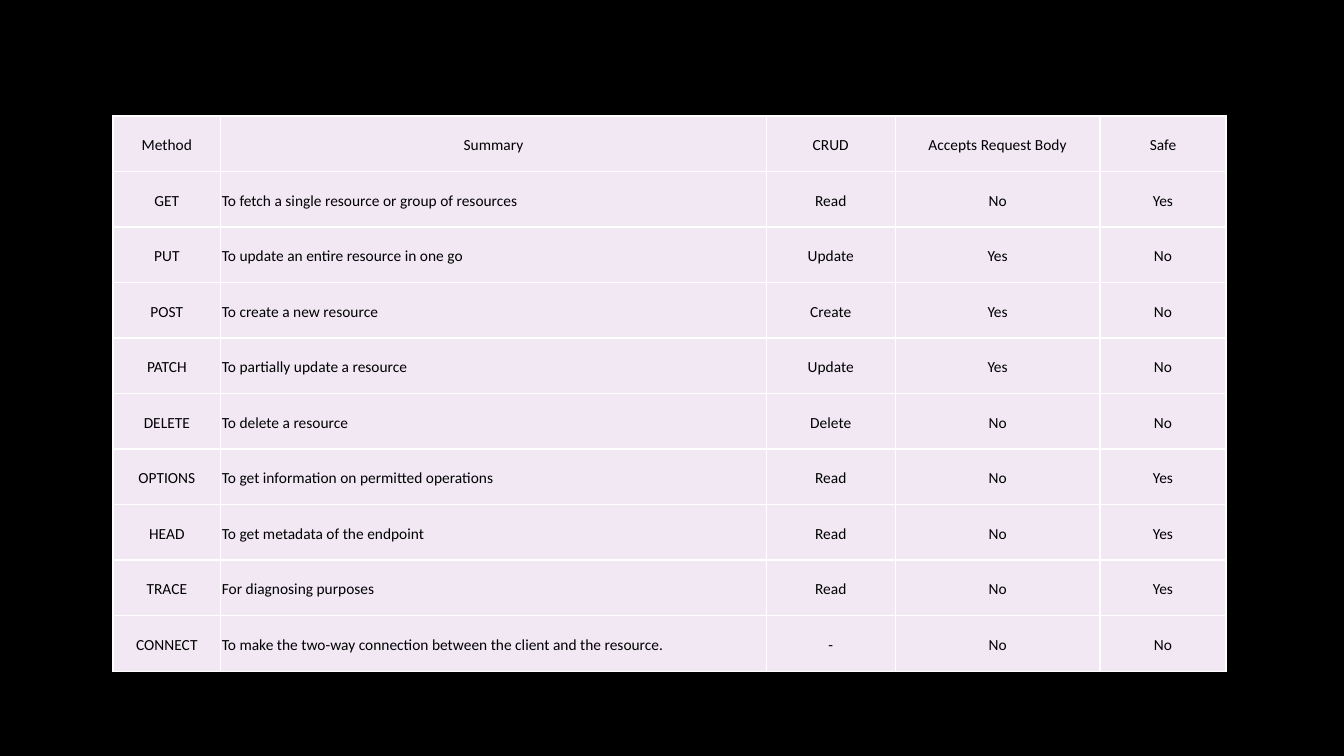
from lxml import etree
from pptx import Presentation
from pptx.dml.color import RGBColor
from pptx.enum.text import MSO_ANCHOR, PP_ALIGN
from pptx.oxml.ns import qn
from pptx.util import Inches, Pt

CENTER, LEFT, TOP = PP_ALIGN.CENTER, PP_ALIGN.LEFT, MSO_ANCHOR.TOP

# Content
HEADER = ("Method", "Summary", "CRUD", "Accepts Request Body", "Safe")
METHODS = [
    ("GET", "To fetch a single resource or group of resources", "Read", "No", "Yes"),
    ("PUT", "To update an entire resource in one go", "Update", "Yes", "No"),
    ("POST", "To create a new resource", "Create", "Yes", "No"),
    ("PATCH", "To partially update a resource", "Update", "Yes", "No"),
    ("DELETE", "To delete a resource", "Delete", "No", "No"),
    ("OPTIONS", "To get information on permitted operations", "Read", "No", "Yes"),
    ("HEAD", "To get metadata of the endpoint", "Read", "No", "Yes"),
    ("TRACE", "For diagnosing purposes", "Read", "No", "Yes"),
    ("CONNECT", "To make the two-way connection between the client and the resource.",
     "-", "No", "No"),
]
COLORS = {"background": "000000", "cell": "F1E8F4", "border": "FFFFFF", "text": "000000"}
COL_WIDTHS = (1.07, 5.41, 1.28, 2.03, 1.25)
TABLE_LEFT, TABLE_TOP, TABLE_HEIGHT = 1.12, 1.15, 5.51
SUMMARY_COL = HEADER.index("Summary")


def rgb(name):
    return RGBColor.from_string(COLORS[name])


def write_text(tf, text, size=11, font="Calibri", color="text", align=CENTER, spacing=2.0):
    p = tf.paragraphs[0]
    p.alignment = align
    p.line_spacing = spacing
    r = p.add_run()
    r.text = text
    r.font.name = font
    r.font.size = Pt(size)
    r.font.bold = False
    r.font.color.rgb = rgb(color)


def add_borders(cell, color="border", width=1):
    tc_pr = cell._tc.get_or_add_tcPr()
    for i, side in enumerate(("lnL", "lnR", "lnT", "lnB")):
        ln = etree.Element(qn(f"a:{side}"), w=str(Pt(width)))
        fill = etree.SubElement(ln, qn("a:solidFill"))
        etree.SubElement(fill, qn("a:srgbClr"), val=COLORS[color])
        tc_pr.insert(i, ln)


def main():
    prs = Presentation()
    prs.slide_width, prs.slide_height = Inches(13.33), Inches(7.5)
    s = prs.slides.add_slide(prs.slide_layouts[6])
    s.background.fill.solid()
    s.background.fill.fore_color.rgb = rgb("background")

    # Table grid
    rows = [HEADER] + METHODS
    table = s.shapes.add_table(
        len(rows), len(HEADER), Inches(TABLE_LEFT), Inches(TABLE_TOP),
        Inches(sum(COL_WIDTHS)), Inches(TABLE_HEIGHT)).table
    table.first_row = table.horz_banding = False
    for column, width in zip(table.columns, COL_WIDTHS):
        column.width = Inches(width)

    # Cells: only the summaries below the header are left aligned
    for i, row in enumerate(rows):
        for j, text in enumerate(row):
            cell = table.cell(i, j)
            cell.margin_left = cell.margin_right = cell.margin_top = Inches(0.01)
            cell.margin_bottom = 0
            cell.vertical_anchor = TOP
            cell.fill.solid()
            cell.fill.fore_color.rgb = rgb("cell")
            add_borders(cell)
            align = LEFT if i > 0 and j == SUMMARY_COL else CENTER
            write_text(cell.text_frame, text, align=align)

    prs.save("out.pptx")


if __name__ == "__main__":
    main()
